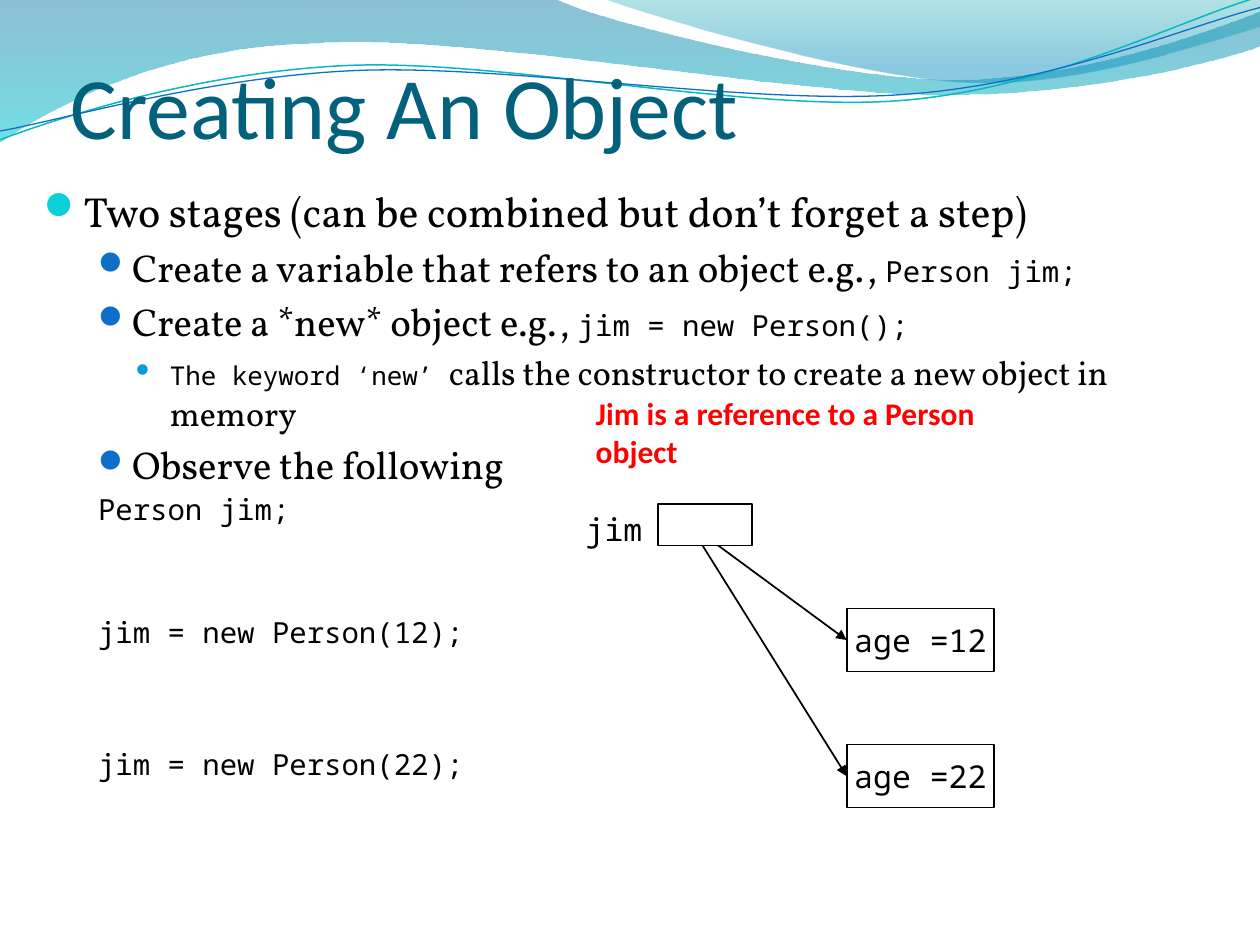
from pptx import Presentation
from pptx.dml.color import RGBColor as RGB
from pptx.enum.shapes import MSO_CONNECTOR as Connector, MSO_SHAPE as Shape
from pptx.enum.text import MSO_ANCHOR as Anchor, PP_ALIGN as Align
from pptx.oxml.ns import qn
from pptx.util import Inches, Pt
from lxml.etree import SubElement

THEME = {
    "title": ("Calibri", 50, "04617B"),
    "level0": ("Vollkorn", 24, "000000"),
    "level1": ("Vollkorn", 22.2, "000000"),
    "level2": ("Vollkorn", 19.4, "000000"),
    "code": ("Noto Sans Mono", 16.6, "000000"),
    "small_code": ("Noto Sans Mono", 14.8, "000000"),
    "diagram": ("Noto Sans Mono", 18, "000000"),
    "note": ("Calibri", 18, "FF0000"),
    "line": "000000",
    "box": "FFFFFF",
}


def style(run, kind):
    name, size, color = THEME[kind]
    run.font.name = name
    run.font.size = Pt(size)
    run.font.color.rgb = RGB.from_string(color)


def add_curve(start, segments, close):
    builder = slide.shapes.build_freeform(Inches(start[0]), Inches(start[1]), scale=1.0)
    builder.add_line_segments([(Inches(s[-2]), Inches(s[-1])) for s in segments], close=close)
    curve = builder.convert_to_shape()
    curve.shadow.inherit = False
    for node, segment in zip(list(curve._element.iter(qn("a:lnTo"))), segments):
        if len(segment) == 6:
            node.tag = qn("a:cubicBezTo")
            for index, (x, y) in enumerate([segment[:2], segment[2:4]]):
                control = SubElement(node, qn("a:pt"))
                control.set("x", str(Inches(x) - curve.left))
                control.set("y", str(Inches(y) - curve.top))
                node.insert(index, control)
    return curve


deck = Presentation()
deck.slide_width, deck.slide_height = Inches(10), Inches(7.5)
slide = deck.slides.add_slide(deck.slide_layouts[6])
shapes = slide.shapes

bands = [
    ((0, 0), [(4.4, -0.01), (4.76, 0.17, 6.64, 0.63, 7.58, 0.63),
              (8.53, 0.63, 9.58, 0.26, 10, 0.09), (10.01, 0.36),
              (9.83, 0.44, 8.7, 0.76, 7.46, 0.75),
              (6.22, 0.75, 3.82, 0.28, 2.57, 0.34),
              (1.29, 0.36, 0.46, 0.83, -0.01, 1.13), (0, 0)],
     [(0, "0074A1", 45), (1, "00C6CF", 55)]),
    ((4.79, -0.01), [(5.09, 0.11, 6.82, 0.62, 7.69, 0.65),
                     (8.56, 0.69, 9.61, 0.32, 10, 0.21), (10, 0), (4.79, -0.01)],
     [(0, "00A1A9", 30), (0.8, "008BBF", 45)]),
]
for start, segments, colors in bands:
    band = add_curve(start, segments, True)
    band.line.fill.background()
    band.fill.gradient()
    band.fill.gradient_angle = 270
    for stop, (position, color, opacity) in zip(band.fill.gradient_stops, colors):
        stop.position = position
        stop.color.rgb = RGB.from_string(color)
    for node, (_, _, opacity) in zip(band._element.spPr.iter(qn("a:srgbClr")), colors):
        SubElement(node, qn("a:alpha")).set("val", str(opacity * 1000))

waves = [
    ((0, 1.11), [(0.48, 0.93, 1.58, 0.57, 2.77, 0.52), (3.95, 0.47, 5.93, 0.89, 7.13, 0.8),
                 (8.33, 0.71, 9.38, 0.15, 9.98, -0.02)], "0AB8BF", 0.85),
    ((0, 1.04), [(0.47, 0.96, 1.64, 0.61, 2.83, 0.56), (4.03, 0.51, 5.97, 0.84, 7.17, 0.75),
                 (8.36, 0.67, 9.41, 0.21, 10, 0.06)], "0F6FC6", 0.75),
]
for start, segments, color, width in waves:
    wave = add_curve(start, segments, False)
    wave.fill.background()
    wave.line.color.rgb = RGB.from_string(color)
    wave.line.width = Pt(width)

title = shapes.add_textbox(Inches(0.56), 0, Inches(9), Inches(1.25)).text_frame
title.word_wrap = True
title.vertical_anchor = Anchor.BOTTOM
title.margin_left = title.margin_right = title.margin_bottom = 0
title.text = "Creating An Object"
style(title.paragraphs[0].runs[0], "title")

levels = [(0.3, 0.3, "0BD0D9", 95), (0.7, 0.27, "0F6FC6", 85), (1, 0.27, "009DD9", 70)]
points = [
    (0, True, 5, [("Two stages (can be combined but don’t forget a step)", "level0")]),
    (1, True, 4.4, [("Create a variable that refers to an object e.g., ", "level1"),
                    ("Person jim;", "code")]),
    (1, True, 4.4, [("Create a *new* object e.g., ", "level1"),
                    ("jim = new Person();", "code")]),
    (2, True, 4.4, [("The keyword ‘new’ ", "small_code"),
                    ("calls the constructor to create a new object in memory", "level2")]),
    (1, True, 4.4, [("Observe the following", "level1")]),
    (1, False, 2, [("Person jim;", "code")]),
    (1, False, 50.3, [("jim = new Person(12);", "code")]),
    (1, False, 55.7, [("jim = new Person(22);", "code")]),
]
body = shapes.add_textbox(Inches(0.25), Inches(1.42), Inches(8.94), Inches(4.31)).text_frame
body.word_wrap = True
for index, (level, bulleted, gap, parts) in enumerate(points):
    point = body.paragraphs[0] if index == 0 else body.add_paragraph()
    point.level = level
    point.space_before = Pt(gap)
    for text, kind in parts:
        run = point.add_run()
        run.text = text
        style(run, kind)
    left, hanging, color, percent = levels[level]
    props = point._p.get_or_add_pPr()
    props.set("marL", str(Inches(left)))
    props.set("indent", str(-Inches(hanging)))
    if bulleted:
        SubElement(SubElement(props, qn("a:buClr")), qn("a:srgbClr")).set("val", color)
        SubElement(props, qn("a:buSzPct")).set("val", str(percent * 1000))
        bullet_font = SubElement(props, qn("a:buFont"))
        bullet_font.set("typeface", "Wingdings 2")
        bullet_font.set("charset", "2")
        SubElement(props, qn("a:buChar")).set("char", "\uf097")
    else:
        SubElement(props, qn("a:buNone"))

labels = [
    ("jim", "diagram", 4.55, 4, 0.67, 0.4),
    ("Jim is a reference to a Person object", "note", 4.63, 3.08, 3.5, 0.7),
]
for text, kind, *place in labels:
    label = shapes.add_textbox(*map(Inches, place)).text_frame
    label.word_wrap = True
    label.text = text
    style(label.paragraphs[0].runs[0], kind)
    label.paragraphs[0].runs[0].font.bold = kind == "note"

boxes = [("age =22", 6.72, 5.91, 1.17, 0.5), ("age =12", 6.72, 4.83, 1.17, 0.5),
         ("", 5.22, 4, 0.75, 0.33)]
for text, left, top, width, height in boxes:
    if text:
        arrow = shapes.add_connector(Connector.STRAIGHT, Inches(5.47), Inches(4.16),
                                     Inches(left), Inches(top + height / 2))
        arrow.line.color.rgb = RGB.from_string(THEME["line"])
        arrow.line.width = Pt(1)
        SubElement(arrow.line._get_or_add_ln(), qn("a:tailEnd")).set("type", "triangle")
        SubElement(arrow._element.spPr, qn("a:effectLst"))
    box = shapes.add_shape(Shape.RECTANGLE, *map(Inches, (left, top, width, height)))
    box.shadow.inherit = False
    box.line.color.rgb = RGB.from_string(THEME["line"])
    box.line.width = Pt(1)
    if text:
        box.fill.background()
        box.text_frame.word_wrap = False
        box.text_frame.vertical_anchor = Anchor.MIDDLE
        box.text_frame.text = text
        box.text_frame.paragraphs[0].alignment = Align.CENTER
        style(box.text_frame.paragraphs[0].runs[0], "diagram")
    else:
        box.fill.solid()
        box.fill.fore_color.rgb = RGB.from_string(THEME["box"])

deck.save("out.pptx")
